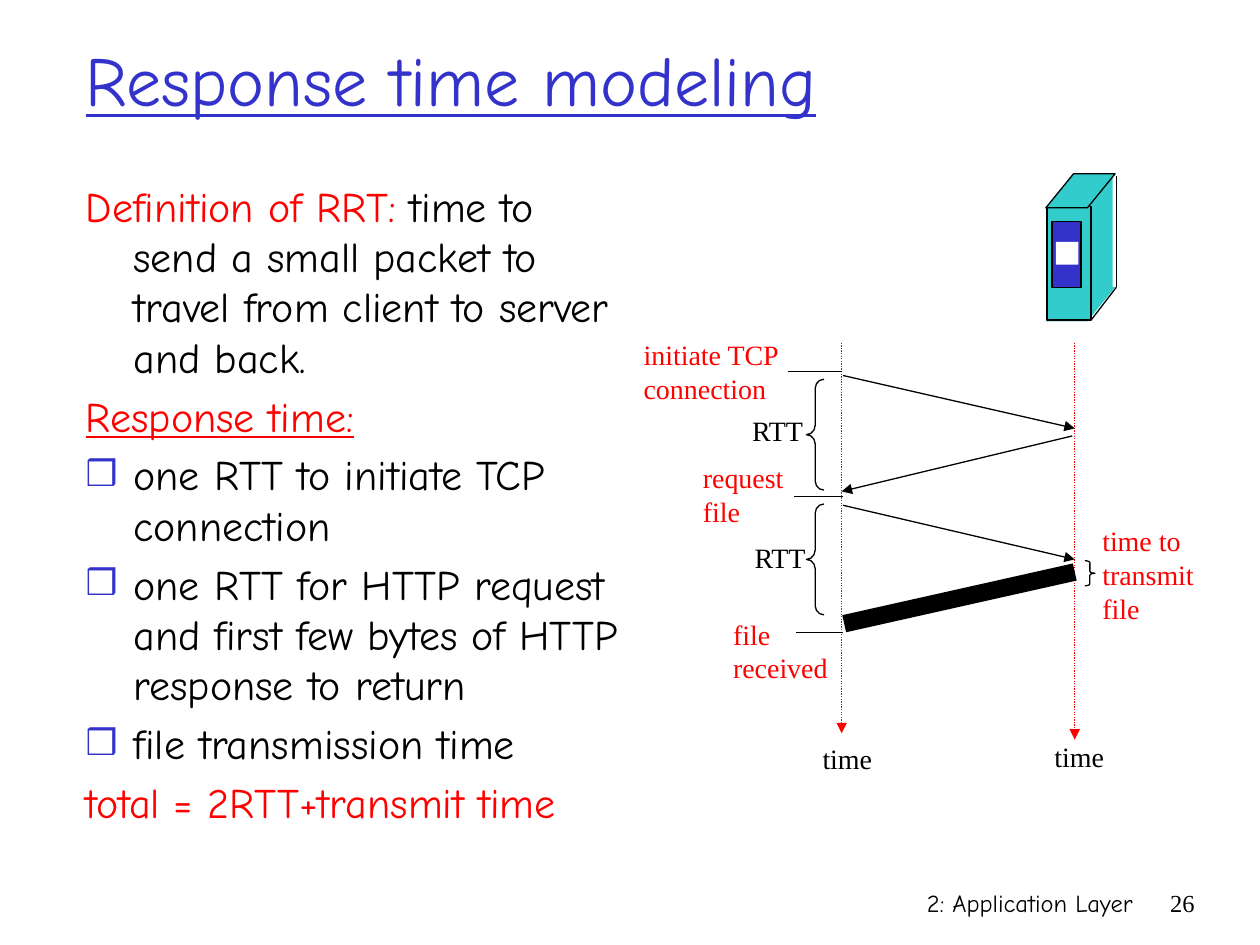
"""Build a slide on response time modeling with a client-server timing chart."""
import pptx
import pptx.dml.color
import pptx.enum.dml
import pptx.enum.shapes
import pptx.enum.text
import pptx.oxml
import pptx.oxml.ns
import pptx.util

Inches, Pt = pptx.util.Inches, pptx.util.Pt
SHAPE = pptx.enum.shapes.MSO_SHAPE
ALIGN = pptx.enum.text.PP_ALIGN
FIT = pptx.enum.text.MSO_AUTO_SIZE
qn = pptx.oxml.ns.qn
NS = pptx.oxml.ns.nsdecls("a")
HEX = {"ink": "000000", "red": "FF0000", "blue": "3333CC", "teal": "33CCCC", "white": "FFFFFF"}
RGB = {name: pptx.dml.color.RGBColor.from_string(code) for name, code in HEX.items()}
COMIC, TIMES = "Comic Neue", "Times New Roman"

deck = pptx.Presentation()
deck.slide_width, deck.slide_height = Inches(10), Inches(7.5)
slide = deck.slides.add_slide(deck.slide_layouts[1])
shapes = slide.shapes


def label(text, x, y, w, h, color, size=16, face=TIMES, align=ALIGN.LEFT, wrap=False):
    box = shapes.add_textbox(Inches(x), Inches(y), Inches(w), Inches(h))
    frame = box.text_frame
    frame.text = text
    frame.word_wrap = wrap
    frame.auto_size = FIT.NONE if wrap else FIT.SHAPE_TO_FIT_TEXT
    for para in frame.paragraphs:
        para.alignment = align
        para.font.size, para.font.name = Pt(size), face
        para.font.color.rgb = RGB[color]


def wire(x1, y1, x2, y2, color="ink", width=0.75, arrow=False, dots=False):
    line = shapes.add_connector(pptx.enum.shapes.MSO_CONNECTOR.STRAIGHT,
                                Inches(x1), Inches(y1), Inches(x2), Inches(y2))
    line.line.color.rgb = RGB[color]
    line.line.width = Pt(width)
    if dots:
        line.line.dash_style = pptx.enum.dml.MSO_LINE.ROUND_DOT
    props = line._element.spPr
    if arrow:
        props.find(qn("a:ln")).append(pptx.oxml.parse_xml(f'<a:tailEnd {NS} type="triangle"/>'))
    props.append(pptx.oxml.parse_xml(f"<a:effectLst {NS}/>"))


title = shapes.title
title.left, title.top, title.width, title.height = Inches(0.58), Inches(0), Inches(8.5), Inches(1.25)
title.text_frame.text = "Response time modeling"
title.text_frame.auto_size = FIT.NONE
title.text_frame.vertical_anchor = pptx.enum.text.MSO_ANCHOR.MIDDLE
head = title.text_frame.paragraphs[0]
head.alignment = ALIGN.LEFT
head.font.size, head.font.name, head.font.underline = Pt(40), COMIC, True
head.font.color.rgb = RGB["blue"]

body = slide.placeholders[1]
body.left, body.top, body.width, body.height = Inches(0.58), Inches(1.38), Inches(4.47), Inches(5.08)
frame = body.text_frame
frame.auto_size = FIT.NONE
items = [
    ("plain", [("Definition of RRT:", "red"),
               (" time to send a small packet to travel from client to server and back.", "ink")]),
    ("under", [("Response time:", "red")]),
    ("bullet", [("one RTT to initiate TCP connection", "ink")]),
    ("bullet", [("one RTT for HTTP request and first few bytes of HTTP response to return", "ink")]),
    ("bullet", [("file transmission time", "ink")]),
    ("plain", [("total = 2RTT+transmit time", "red")]),
]
for i, (kind, runs) in enumerate(items):
    para = frame.add_paragraph() if i else frame.paragraphs[0]
    props = para._p.get_or_add_pPr()
    props.set("marL", str(Inches(0.38)))
    props.set("indent", str(Inches(-0.38)))
    marks = ["<a:buNone {}/>"]
    if kind == "bullet":
        marks = ['<a:buClr {}><a:srgbClr val="' + HEX["blue"] + '"/></a:buClr>',
                 '<a:buSzPct {} val="85000"/>', '<a:buChar {} char="❒"/>']
    for mark in marks:
        props.append(pptx.oxml.parse_xml(mark.format(NS)))
    para.space_before = Pt(4.8 if i else 0)
    para.font.size, para.font.name = Pt(24), COMIC
    para.font.underline = kind == "under"
    for text, color in runs:
        run = para.add_run()
        run.text = text
        run.font.color.rgb = RGB[color]

label("2: Application Layer", 5.92, 7, 3.17, 0.5, "ink", 14, COMIC, ALIGN.RIGHT, True)
label("26", 9.08, 7, 0.5, 0.5, "ink", 14, TIMES, ALIGN.RIGHT, True)

slant, rect = SHAPE.PARALLELOGRAM, SHAPE.RECTANGLE
left, right = SHAPE.LEFT_BRACE, SHAPE.RIGHT_BRACE
for kind, x, y, w, h, fill, edge, bend in [
    (slant, 8.3, 2.28, 0.55, 0.27, "teal", False, 0.814),
    (rect, 8.58, 1.39, 0.25, 0.9, "teal", False, None),
    (rect, 8.31, 1.64, 0.35, 0.9, "teal", True, None),
    (slant, 8.3, 1.38, 0.55, 0.27, "teal", True, 0.814),
    (rect, 8.35, 1.76, 0.23, 0.52, "blue", True, None),
    (rect, 8.38, 1.92, 0.18, 0.18, "white", False, None),
    (right, 8.61, 4.45, 0.08, 0.2, None, True, 0.204),
    (left, 6.4, 3.01, 0.14, 0.88, None, True, 0.521),
    (left, 6.4, 4, 0.14, 0.88, None, True, 0.521),
]:
    part = shapes.add_shape(kind, Inches(x), Inches(y), Inches(w), Inches(h))
    part.shadow.inherit = False
    if bend:
        part.adjustments[0] = bend
    if fill:
        part.fill.solid()
        part.fill.fore_color.rgb = RGB[fill]
    else:
        part.fill.background()
    if edge:
        part.line.color.rgb = RGB["ink"]
        part.line.width = Pt(0.75)
    else:
        part.line.fill.background()

wire(8.86, 1.4, 8.86, 2.28)
wire(8.86, 2.28, 8.66, 2.54)
for x, end in [(6.68, 5.82), (8.53, 5.87)]:
    wire(x, 2.72, x, end, "red", arrow=True, dots=True)
for ends in [(6.69, 2.98, 8.53, 3.4), (8.51, 3.46, 6.68, 3.9), (6.69, 4.01, 8.53, 4.44)]:
    wire(*ends, arrow=True)
wire(8.53, 4.54, 6.7, 4.95, width=10)
for x1, x2, y in [(6.25, 6.68, 2.95), (6.3, 6.69, 3.94), (6.32, 6.69, 5.02)]:
    wire(x1, y, x2, y)

for text, x, y, w, h, color in [
    ("time to\ntransmit\nfile", 8.65, 4.11, 0.99, 0.9, "red"),
    ("initiate TCP\nconnection", 5.01, 2.63, 1.28, 0.64, "red"),
    ("RTT", 5.87, 3.23, 0.62, 0.37, "ink"),
    ("request\nfile", 5.48, 3.61, 0.85, 0.64, "red"),
    ("RTT", 5.89, 4.24, 0.62, 0.37, "ink"),
    ("file\nreceived", 5.72, 4.85, 0.96, 0.64, "red"),
    ("time", 6.43, 5.84, 0.6, 0.37, "ink"),
    ("time", 8.27, 5.82, 0.6, 0.37, "ink"),
]:
    label(text, x, y, w, h, color)

deck.save("out.pptx")
